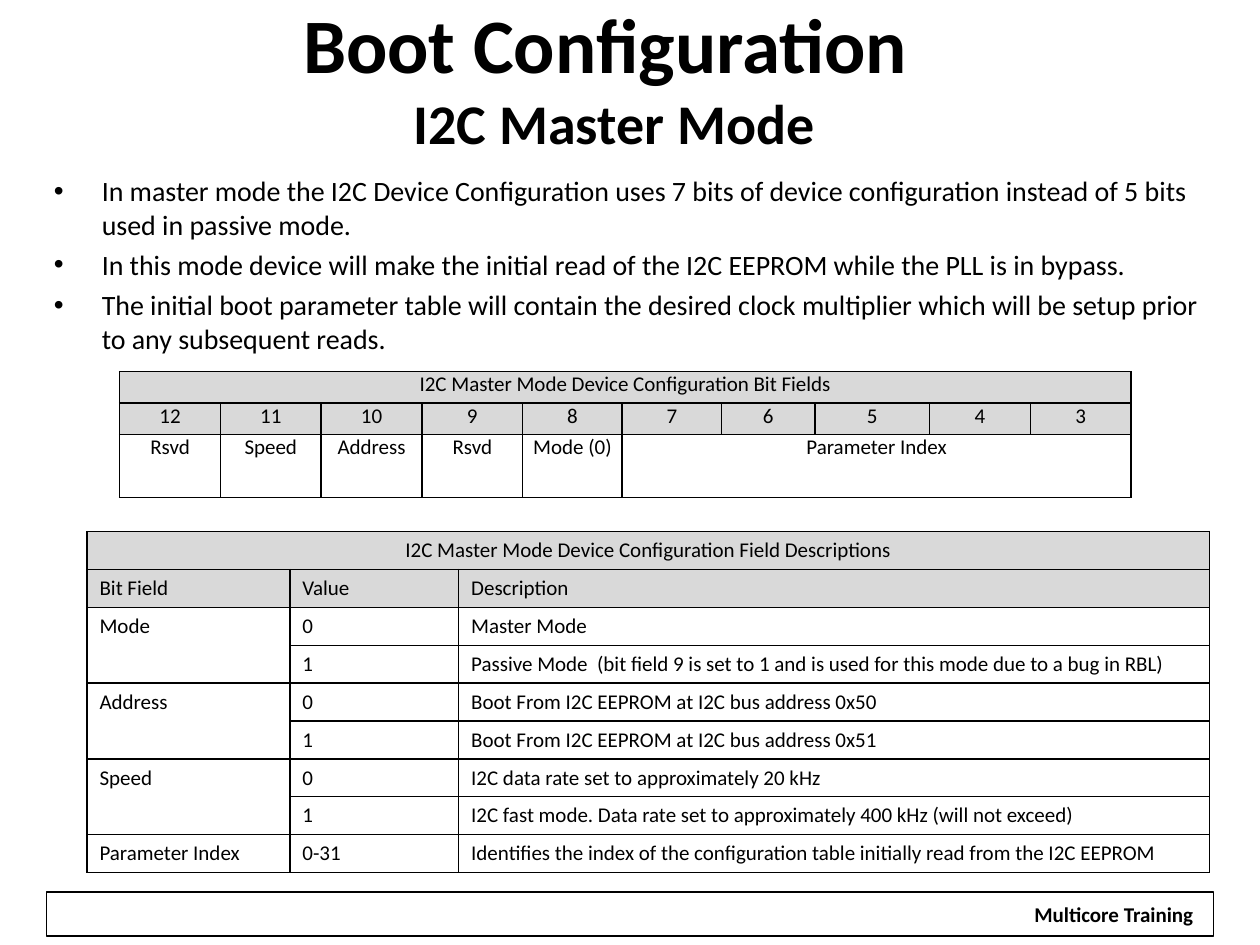
from typing import NamedTuple

from lxml.etree import SubElement
from pptx import Presentation
from pptx.dml.color import RGBColor
from pptx.enum.shapes import MSO_SHAPE as Preset
from pptx.enum.text import MSO_ANCHOR as Anchor, PP_ALIGN as Align
from pptx.oxml.ns import qn
from pptx.util import Emu, Inches, Pt

FONT = "Calibri"
BLACK, WHITE, HEADER_GRAY = "000000", "FFFFFF", "D9D9D9"
TABLE_SIZE = 12
HEADER_ROWS = 2


class Box(NamedTuple):
    left: float
    top: float
    width: float
    height: float

    def emu(self) -> list[Emu]:
        return [Inches(length) for length in self]


class Span(NamedTuple):
    row: int
    col: int
    last_row: int
    last_col: int


class Grid(NamedTuple):
    """A table: column and row shares of its box, cell texts and merged spans."""
    box: Box
    columns: list[float]
    rows: list[float]
    texts: list[list[str]]
    spans: list[Span]
    inset: tuple[float, float]
    centred_rows: int


BIT_FIELDS = Grid(
    box=Box(0.95, 2.95, 8.03, 1),
    columns=[0.8] * 4 + [0.79, 0.79, 0.74, 0.91, 0.8, 0.8],
    rows=[1, 1, 2],
    texts=[
        ["I2C Master Mode Device Configuration Bit Fields"],
        [str(bit) for bit in range(12, 2, -1)],
        ["Rsvd", "Speed", "Address", "Rsvd", "Mode (0)", "Parameter Index"],
    ],
    spans=[Span(0, 0, 0, 9), Span(2, 5, 2, 9)],
    inset=(0.07, 0),
    centred_rows=3,
)

DESCRIPTIONS = Grid(
    box=Box(0.69, 4.22, 8.91, 2.7),
    columns=[1.61, 1.34, 5.96],
    rows=[1] * 9,
    texts=[
        ["I2C Master Mode Device Configuration Field Descriptions"],
        ["Bit Field", "Value", "Description"],
        ["Mode", "0", "Master Mode"],
        ["", "1", "Passive Mode  (bit field 9 is set to 1 and is used for this mode due to a bug in RBL)"],
        ["Address", "0", "Boot From I2C EEPROM at I2C bus address 0x50"],
        ["", "1", "Boot From I2C EEPROM at I2C bus address 0x51"],
        ["Speed", "0", "I2C data rate set to approximately 20 kHz"],
        ["", "1", "I2C fast mode. Data rate set to approximately 400 kHz (will not exceed)"],
        ["Parameter Index", "0-31",
         "Identifies the index of the configuration table initially read from the I2C EEPROM"],
    ],
    spans=[Span(0, 0, 0, 2)] + [Span(row, 0, row + 1, 0) for row in (2, 4, 6)],
    inset=(0.1, 0.05),
    centred_rows=1,
)

POINTS = [
    "In master mode the I2C Device Configuration uses 7 bits of device configuration "
    "instead of 5 bits used in passive mode.",
    "In this mode device will make the initial read of the I2C EEPROM while the PLL is in bypass.",
    "The initial boot parameter table will contain the desired clock multiplier "
    "which will be setup prior to any subsequent reads.",
]


def rgb(color: str) -> RGBColor:
    return RGBColor.from_string(color)


def set_font(font, size: float, bold: bool = False) -> None:
    font.name, font.size, font.bold = FONT, Pt(size), bold
    font.color.rgb = rgb(BLACK)


def add_borders(cell) -> None:
    properties = cell._tc.get_or_add_tcPr()
    for side in ("a:lnL", "a:lnR", "a:lnT", "a:lnB"):
        line = SubElement(properties, qn(side), w=str(Pt(1)))
        fill = SubElement(line, qn("a:solidFill"))
        SubElement(fill, qn("a:srgbClr"), val=BLACK)


def draw_grid(slide, grid: Grid) -> None:
    table = slide.shapes.add_table(len(grid.rows), len(grid.columns), *grid.box.emu()).table
    table.first_row = table.horz_banding = False
    for column, share in zip(table.columns, grid.columns):
        column.width = Inches(grid.box.width * share / sum(grid.columns))
    for row, share in zip(table.rows, grid.rows):
        row.height = Inches(grid.box.height * share / sum(grid.rows))

    for r in range(len(grid.rows)):
        for c in range(len(grid.columns)):
            cell = table.cell(r, c)
            cell.margin_left = cell.margin_right = Inches(grid.inset[0])
            cell.margin_top = cell.margin_bottom = Inches(grid.inset[1])
            add_borders(cell)
            if r < HEADER_ROWS:
                cell.fill.solid()
                cell.fill.fore_color.rgb = rgb(HEADER_GRAY)
            else:
                cell.fill.background()
            paragraph = cell.text_frame.paragraphs[0]
            paragraph.alignment = Align.CENTER if r < grid.centred_rows else Align.LEFT
            set_font(paragraph.font, TABLE_SIZE)
            if c < len(grid.texts[r]):
                paragraph.text = grid.texts[r][c]

    for span in grid.spans:
        table.cell(span.row, span.col).merge(table.cell(span.last_row, span.last_col))


def draw_footer(slide) -> None:
    frame = slide.shapes.add_shape(Preset.RECTANGLE, *Box(0.37, 7.08, 9.26, 0.35).emu())
    frame.shadow.inherit = False
    frame.fill.background()
    frame.line.color.rgb = rgb(BLACK)
    frame.line.width = Pt(0.75)

    label = slide.shapes.add_textbox(*Box(8.1, 7.11, 1.48, 0.3).emu())
    label.fill.solid()
    label.fill.fore_color.rgb = rgb(WHITE)
    label.text_frame.word_wrap = False
    paragraph = label.text_frame.paragraphs[0]
    paragraph.text = "Multicore Training"
    paragraph.alignment = Align.CENTER
    set_font(paragraph.font, 12, bold=True)


def draw_title(slide) -> None:
    frame = slide.shapes.add_textbox(*Box(0.25, 0.16, 9.25, 0.89).emu()).text_frame
    frame.word_wrap = True
    frame.vertical_anchor = Anchor.MIDDLE
    paragraph = frame.paragraphs[0]
    paragraph.alignment = Align.CENTER
    heading = paragraph.add_run()
    heading.text = "Boot Configuration "
    set_font(heading.font, 44, bold=True)
    paragraph.add_line_break()
    subheading = paragraph.add_run()
    subheading.text = "I2C Master Mode"
    set_font(subheading.font, 32, bold=True)


def draw_points(slide) -> None:
    frame = slide.shapes.add_textbox(*Box(0.33, 1.33, 9.36, 1.55).emu()).text_frame
    frame.word_wrap = True
    for number, point in enumerate(POINTS):
        paragraph = frame.add_paragraph() if number else frame.paragraphs[0]
        paragraph.text = point
        if number:
            paragraph.space_before = Pt(3.8)
        properties = paragraph._p.get_or_add_pPr()
        properties.set("marL", str(Inches(0.38)))
        properties.set("indent", str(Inches(-0.38)))
        SubElement(properties, qn("a:buFont"), typeface="Arial")
        SubElement(properties, qn("a:buChar"), char="•")
        set_font(paragraph.font, 16)


def main() -> None:
    deck = Presentation()
    deck.slide_width, deck.slide_height = Inches(10), Inches(7.5)
    slide = deck.slides.add_slide(deck.slide_layouts[6])
    draw_footer(slide)
    draw_grid(slide, DESCRIPTIONS)
    draw_title(slide)
    draw_points(slide)
    draw_grid(slide, BIT_FIELDS)
    deck.save("out.pptx")


if __name__ == "__main__":
    main()
